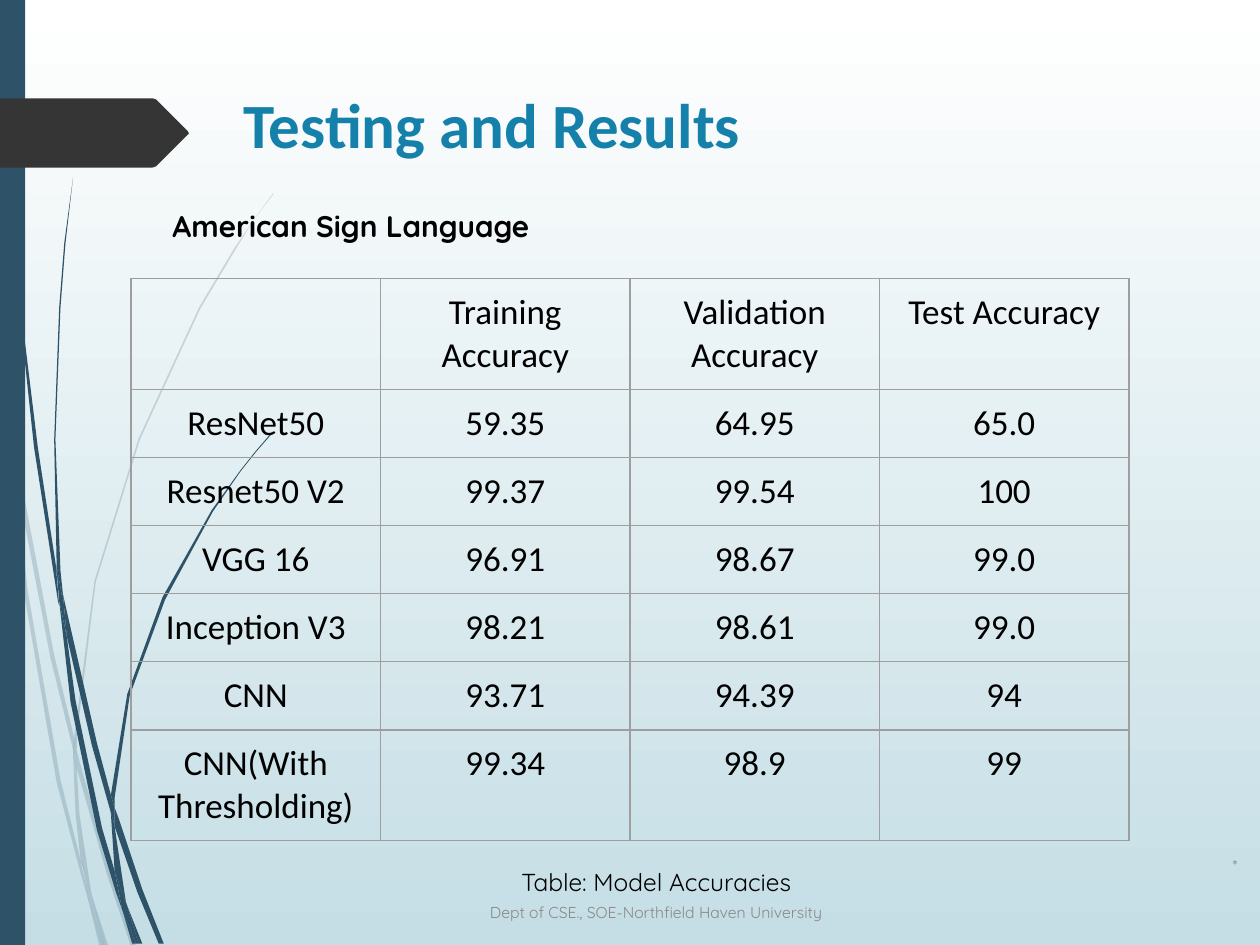
from lxml.etree import SubElement as Sub
from pptx import Presentation
from pptx.dml.color import RGBColor as RGB
from pptx.enum.shapes import MSO_SHAPE as Form
from pptx.enum.text import MSO_ANCHOR as Anchor, MSO_AUTO_SIZE as Fit, PP_ALIGN as Align
from pptx.oxml.ns import qn
from pptx.util import Inches, Pt

WHITE = RGB(0xFF, 0xFF, 0xFF)
SKY = RGB(0xC5, 0xDE, 0xE5)
NAVY = RGB(0x2E, 0x53, 0x69)
DARK = RGB(0x35, 0x35, 0x35)
BLUE = RGB(0x15, 0x81, 0xAA)
BLACK = RGB(0, 0, 0)
GREY = RGB(0x89, 0x89, 0x89)
RULE = RGB(0x9E, 0x9E, 0x9E)
CELL = Inches(0.01)
COLS, ROWS = 1000, 750

PALE = [
    [(8, 350), (6, 322), (0, 282), (0, 299), (7, 344)],
    [(40, 522), (59, 599), (59, 586), (43, 520), (10, 345), (12, 376)],
    [(64, 607), (61, 596), (61, 610), (85, 694), (104, 751), (108, 751), (88, 692)],
    [(83, 751), (86, 751), (73, 711)],
    [(64, 683), (48, 619), (22, 469), (12, 376), (8, 350), (19, 470), (45, 621),
     (64, 693), (70, 714), (69, 707)],
    [(58, 599), (60, 646), (64, 683), (67, 692), (73, 711), (72, 706), (63, 646),
     (61, 610), (61, 608)],
    [(61, 584), (76, 462), (111, 349), (159, 245), (187, 198), (201, 175), (217, 154),
     (217, 153), (201, 175), (186, 197), (158, 244), (110, 348), (75, 461), (59, 584),
     (59, 586), (61, 596)],
    [(70, 714), (79, 751), (82, 751)],
    [(61, 608), (61, 610), (61, 596), (59, 586), (58, 599)],
    [(67, 692), (65, 683), (69, 707), (70, 714), (82, 751), (83, 751), (73, 711)],
]
DEEP = [
    [(5, 110), (14, 233), (27, 355), (46, 477), (47, 481), (45, 457), (45, 453),
     (30, 355), (15, 232), (6, 109), (4, 48), (3, 0), (2, 0), (3, 48)],
    [(73, 592), (88, 645), (88, 633), (88, 631), (77, 590), (50, 472), (53, 505)],
    [(94, 649), (91, 641), (91, 656), (109, 708), (126, 749), (130, 749), (113, 706)],
    [(91, 691), (81, 657), (60, 556), (53, 505), (47, 477), (56, 557), (77, 659),
     (92, 708), (97, 722), (96, 717)],
    [(50, 472), (48, 453), (44, 349), (48, 244), (52, 193), (58, 141), (51, 193),
     (47, 244), (43, 349), (45, 449), (49, 472)],
    [(110, 749), (113, 749), (101, 719)],
    [(47, 477), (53, 505), (50, 472), (49, 472), (45, 449), (45, 453)],
    [(91, 633), (103, 552), (131, 476), (169, 406), (191, 374), (203, 359), (216, 344),
     (215, 344), (203, 358), (191, 373), (168, 405), (129, 474), (101, 551), (88, 631),
     (91, 641)],
    [(97, 722), (105, 749), (108, 749)],
    [(88, 645), (91, 691), (96, 706), (101, 719), (100, 716), (91, 656), (90, 651)],
    [(88, 645), (90, 651), (91, 656), (91, 641), (88, 631), (88, 633)],
    [(96, 706), (91, 691), (96, 717), (97, 722), (108, 749), (110, 749), (101, 719)],
]
TAG = [(0, 78), (121, 78), (124, 79), (149, 104), (150, 106), (149, 107), (124, 132),
       (121, 133), (0, 133)]
SCORES = [
    ("", "Training Accuracy", "Validation Accuracy", "Test Accuracy"),
    ("ResNet50", "59.35", "64.95", "65.0"),
    ("Resnet50 V2", "99.37", "99.54", "100"),
    ("VGG 16", "96.91", "98.67", "99.0"),
    ("Inception V3", "98.21", "98.61", "99.0"),
    ("CNN", "93.71", "94.39", "94"),
    ("CNN(With Thresholding)", "99.34", "98.9", "99"),
]


class Deck:
    """Draws styled elements on one slide, on a grid of hundredths of an inch."""

    head, body = "Calibri", "Quicksand"

    def __init__(self):
        self.show = Presentation()
        self.show.slide_width, self.show.slide_height = COLS * CELL, ROWS * CELL
        self.slide = self.show.slides.add_slide(self.show.slide_layouts[5])
        self.shapes = self.slide.shapes

    def back(self, top, base):
        fill = self.slide.background.fill
        fill.gradient()
        fill.gradient_angle = 270
        for stop, tone in zip(fill.gradient_stops, (top, base)):
            stop.color.rgb = tone

    def paint(self, shape, tone, share=100):
        shape.shadow.inherit = False
        shape.fill.solid()
        shape.fill.fore_color.rgb = tone
        shape.line.fill.background()
        if share < 100:
            tint = shape.element.spPr.find(".//" + qn("a:srgbClr"))
            Sub(tint, qn("a:alpha"), val=str(share * 1000))

    def bar(self, box, tone):
        self.paint(self.shapes.add_shape(Form.RECTANGLE, *[n * CELL for n in box]), tone)

    def shape(self, dots, tone, share=100):
        pen = self.shapes.build_freeform(*dots[0], scale=CELL)
        pen.add_line_segments(dots[1:], close=True)
        self.paint(pen.convert_to_shape(), tone, share)

    def text(self, frame, words, font, size, tone, bold=False, align=Align.LEFT):
        para = frame.paragraphs[0]
        para.alignment = align
        run = para.add_run()
        run.text = words
        face = run.font
        face.name, face.size, face.bold = font, Pt(size), bold
        face.color.rgb = tone

    def place(self, frame, pad, anchor):
        frame.word_wrap = True
        frame.auto_size = Fit.NONE
        frame.vertical_anchor = anchor
        frame.margin_left = frame.margin_right = 10 * CELL
        frame.margin_top = frame.margin_bottom = pad * CELL

    def title(self, box, words):
        item = self.shapes.title
        item.left, item.top, item.width, item.height = [n * CELL for n in box]
        self.place(item.text_frame, 5, Anchor.TOP)
        self.text(item.text_frame, words, self.head, 36, BLUE, True)

    def label(self, box, words, size, tone, bold=False, align=Align.LEFT,
              pad=10, anchor=Anchor.TOP):
        frame = self.shapes.add_textbox(*[n * CELL for n in box]).text_frame
        self.place(frame, pad, anchor)
        self.text(frame, words, self.body, size, tone, bold, align)

    def edge(self, cell):
        props = cell._tc.get_or_add_tcPr()
        for side in "LRTB":
            line = Sub(props, qn("a:ln" + side), w=str(Pt(0.75)))
            Sub(Sub(line, qn("a:solidFill")), qn("a:srgbClr"), val=str(RULE))

    def table(self, left, top, wide, high, data):
        count, span = len(data), len(data[0])
        grid = self.shapes.add_table(count, span, left * CELL, top * CELL,
                                     span * wide * CELL, count * high * CELL).table
        grid.first_row = grid.horz_banding = False
        for r, row in enumerate(data):
            for c, words in enumerate(row):
                cell = grid.cell(r, c)
                self.edge(cell)
                cell.fill.background()
                cell.margin_left = cell.margin_right = 10 * CELL
                cell.margin_top = cell.margin_bottom = 10 * CELL
                if words:
                    self.text(cell.text_frame, words, self.head, 20, BLACK,
                              align=Align.CENTER)


deck = Deck()
deck.back(WHITE, SKY)
for wisp in PALE:
    deck.shape(wisp, NAVY, 20)
for wisp in DEEP:
    deck.shape(wisp, NAVY)
deck.bar((0, 0, 20, ROWS), NAVY)
deck.shape(TAG, DARK)
deck.title((183, 63, 721, 82), "Testing and Results")
deck.label((904, 667, 88, 40), "*", 9, GREY, align=Align.RIGHT, pad=5, anchor=Anchor.MIDDLE)
deck.label((208, 704, 625, 40), "Dept of CSE., SOE-Northfield Haven University", 9, GREY,
           align=Align.CENTER, pad=5, anchor=Anchor.MIDDLE)
deck.table(104, 221, 198, 42, SCORES)
deck.label((373, 678, 296, 44), "Table: Model Accuracies", 14, BLACK, align=Align.CENTER)
deck.label((127, 155, 363, 49), "American Sign Language", 17, BLACK, True)
deck.show.save("out.pptx")
